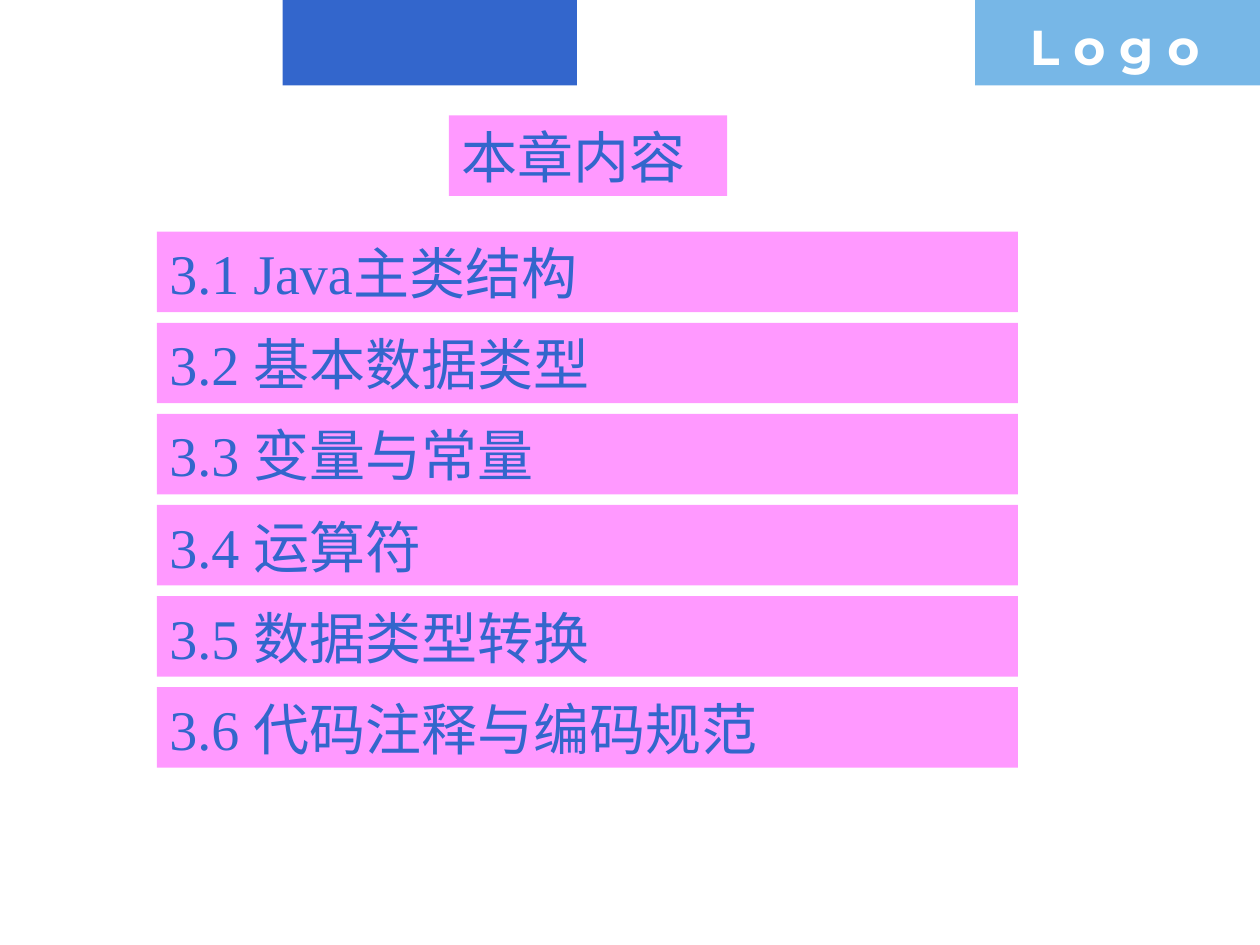
"""Build the chapter contents slide with its header blocks and six topic bars."""
import pptx
import pptx.util
import pptx.dml.color
import pptx.enum.shapes
import pptx.enum.text

TITLE = "本章内容"
TOPICS = [
    "3.1 Java主类结构",
    "3.2 基本数据类型",
    "3.3 变量与常量",
    "3.4 运算符",
    "3.5 数据类型转换",
    "3.6 代码注释与编码规范",
]
LOGO = "L o g o"

THEME = {
    "blue": "3366CC", "sky": "77B7E7", "pink": "FF99FF", "white": "FFFFFF",
    "body": ("Times New Roman", 32, False, "blue"),
    "logo": ("Montserrat", 28, True, "white"),
}
HEADER = [("blue", 161.5, 168.2), ("sky", 557.2, 162.8)]
HEAD_H = 48.8
BAR_X, BAR_Y, BAR_W, BAR_H, PITCH = 89.7, 132.4, 492, 46, 52.05

Pt = pptx.util.Pt


def tint(name):
    return pptx.dml.color.RGBColor.from_string(THEME[name])


def write(shape, text, style, anchor):
    face, size, bold, color = THEME[style]
    frame = shape.text_frame
    frame.word_wrap = True
    frame.auto_size = pptx.enum.text.MSO_AUTO_SIZE.SHAPE_TO_FIT_TEXT
    frame.vertical_anchor = anchor
    para = frame.paragraphs[0]
    para.alignment = pptx.enum.text.PP_ALIGN.LEFT
    run = para.add_run()
    run.text = text
    run.font.name = face
    run.font.size = Pt(size)
    run.font.bold = bold
    run.font.color.rgb = tint(color)


def block(fill, *place):
    kind = pptx.enum.shapes.MSO_SHAPE.RECTANGLE
    shape = slide.shapes.add_shape(kind, *map(Pt, place))
    shape.shadow.inherit = False
    shape.fill.solid()
    shape.fill.fore_color.rgb = tint(fill)
    shape.line.fill.background()
    return shape


def bar(text, *place):
    write(block("pink", *place), text, "body", pptx.enum.text.MSO_ANCHOR.BOTTOM)


deck = pptx.Presentation()
deck.slide_width, deck.slide_height = Pt(720), Pt(540)
slide = deck.slides.add_slide(deck.slide_layouts[6])

for fill, left, width in HEADER:
    block(fill, left, 0, width, HEAD_H)
logo = slide.shapes.add_textbox(*map(Pt, (581.5, 6, 138.5, 41)))
write(logo, LOGO, "logo", pptx.enum.text.MSO_ANCHOR.TOP)

bar(TITLE, 256.5, 66, 159, BAR_H)
for row, topic in enumerate(TOPICS):
    bar(topic, BAR_X, BAR_Y + row * PITCH, BAR_W, BAR_H)

deck.save("out.pptx")
